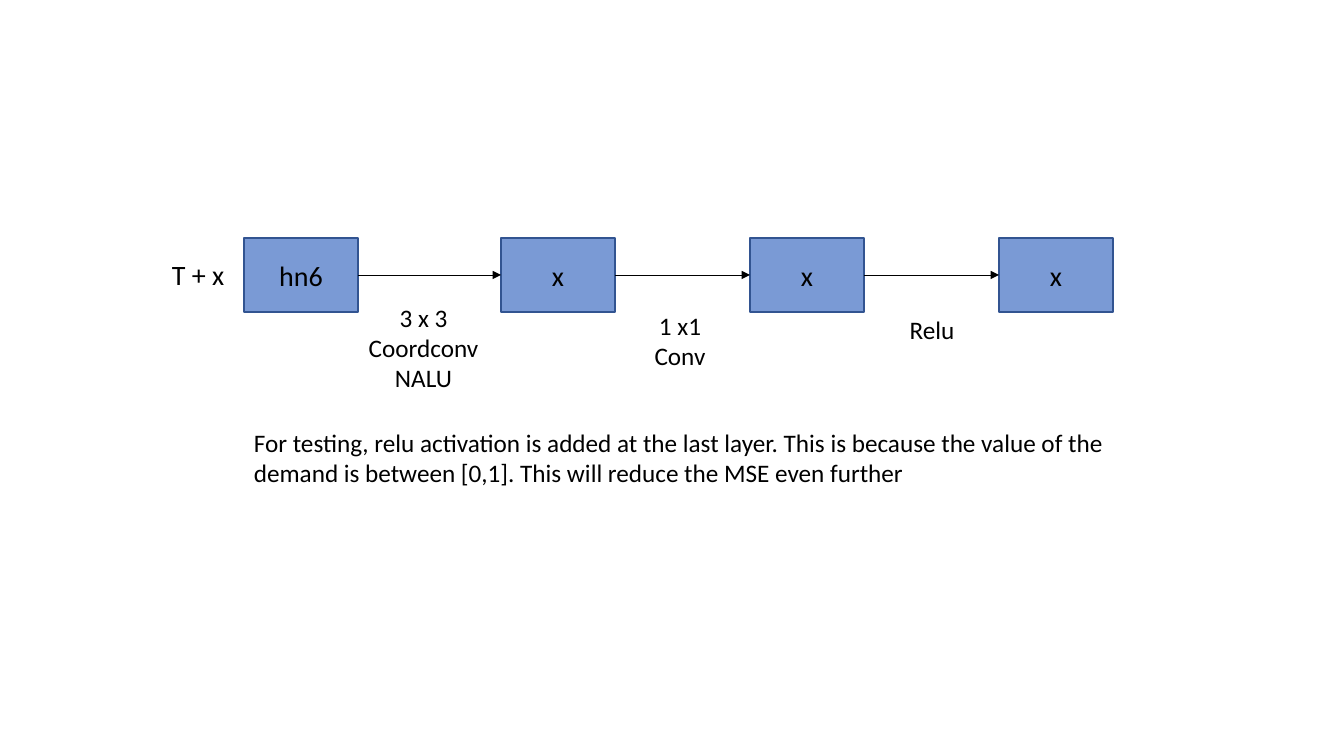
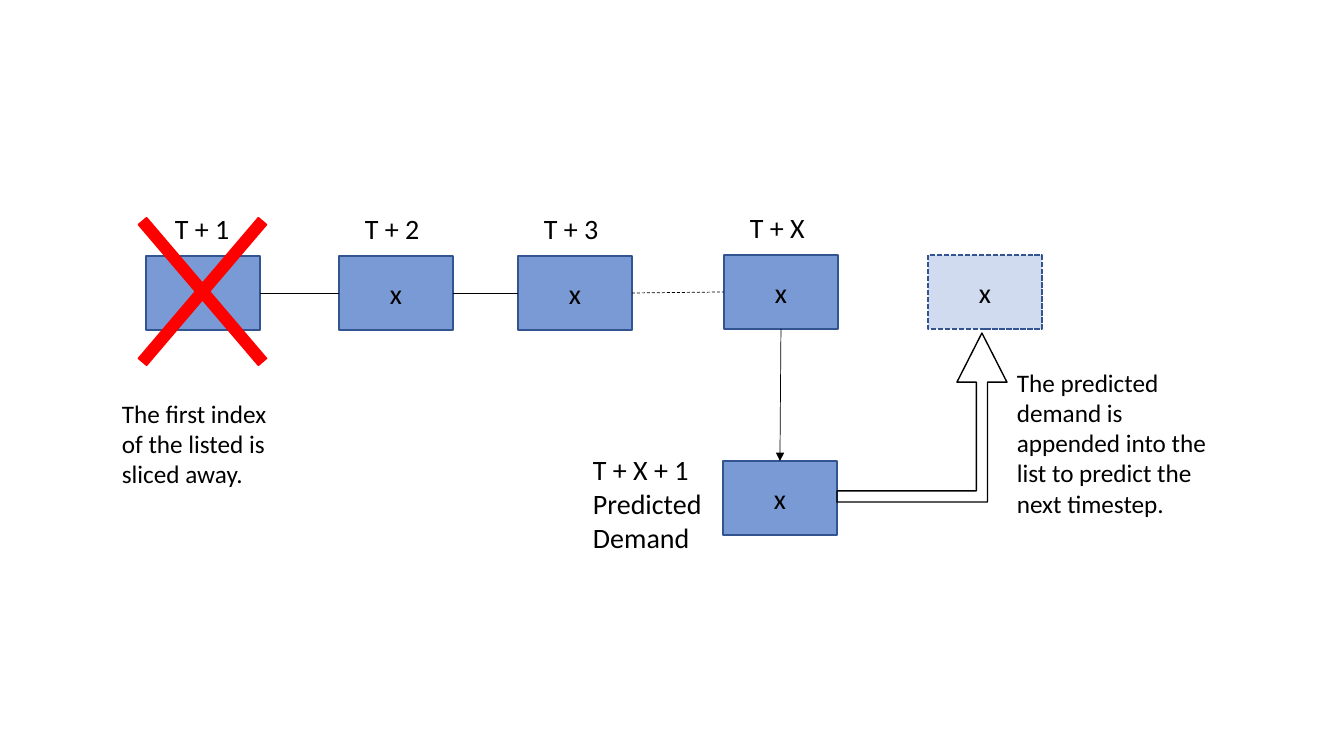
from lxml import etree
from pptx import Presentation
from pptx import util as u
from pptx.dml.color import RGBColor
from pptx.enum import dml, shapes, text
from pptx.oxml.ns import qn

SCALE = 914400 / 100.8
FONT = "Calibri"
COLORS = {"box": "4472C4", "edge": "325491", "ink": "000000", "cross": "FF0000"}
BOX_W, BOX_H = 114, 74
TOP, LEFT, BOTTOM, RIGHT = range(4)
LABEL, NOTE = 20, 18


def px(*values):
    """Turn pixels into EMU."""
    return [u.Emu(round(v * SCALE)) for v in values]


def color(name):
    """Look up a named colour."""
    return RGBColor.from_string(COLORS[name])


def write(frame, words, size, align):
    """Put words into a text frame and format them."""
    frame.word_wrap = True
    frame.text = words
    for para in frame.paragraphs:
        para.alignment = align
        for run in para.runs:
            run.font.size = u.Pt(size)
            run.font.name = FONT
            run.font.color.rgb = color("ink")


def label(slide, words, area, size=LABEL, center=False):
    """Add a text box over an area of left, top, width, height."""
    frame = slide.shapes.add_textbox(*px(*area)).text_frame
    align = text.PP_ALIGN.CENTER if center else text.PP_ALIGN.LEFT
    write(frame, words, size, align)


def form(slide, kind, area, fill=None, edge="ink", width=1, adjust=()):
    """Add a preset shape; without a fill it is see-through."""
    item = slide.shapes.add_shape(kind, *px(*area))
    item.shadow.inherit = False
    for index, value in enumerate(adjust):
        item.adjustments[index] = value
    if fill:
        item.fill.solid()
        item.fill.fore_color.rgb = color(fill)
    else:
        item.fill.background()
    item.line.color.rgb = color(edge)
    item.line.width = u.Pt(width)
    return item


def box(slide, left, top, words="x", alpha=71, width=1):
    """Add a state box with a partly transparent fill."""
    item = form(slide, shapes.MSO_SHAPE.RECTANGLE,
                (left, top, BOX_W, BOX_H), "box", "edge", width)
    tint = item.fill._xPr.find(qn("a:solidFill"))[0]
    etree.SubElement(tint, qn("a:alpha"), val=str(alpha * 1000))
    item.text_frame.vertical_anchor = text.MSO_ANCHOR.MIDDLE
    write(item.text_frame, words, LABEL, text.PP_ALIGN.CENTER)
    return item


def link(slide, first, last, sites=(RIGHT, LEFT), arrow=False, dash=False):
    """Join two boxes with a thin line."""
    line = slide.shapes.add_connector(shapes.MSO_CONNECTOR.STRAIGHT, 0, 0, 0, 0)
    line.begin_connect(first, sites[0])
    line.end_connect(last, sites[1])
    line.line.color.rgb = color("ink")
    line.line.width = u.Pt(0.5)
    if dash:
        line.line.dash_style = dml.MSO_LINE.DASH
    if arrow:
        etree.SubElement(line.line._get_or_add_ln(), qn("a:tailEnd"), type="triangle")
    etree.SubElement(line._element.spPr, qn("a:effectLst"))


def layers(slide):
    """Draw the last layers of the network."""
    row = [box(slide, left, 238, words) for left, words in
           ((244, "hn6"), (501, "x"), (750, "x"), (999, "x"))]
    for first, last in zip(row, row[1:]):
        link(slide, first, last, arrow=True)
    label(slide, "T + x", (162, 253, 81, 44))
    for words, area in (("3 x 3\nCoordconv NALU", (353, 297, 141, 102)),
                        ("1 x1 Conv", (623, 305, 114, 72)),
                        ("Relu", (875, 309, 114, 40))):
        label(slide, words, area, NOTE, center=True)
    label(slide, "For testing, relu activation is added at the last layer. "
          "This is because the value of the demand is between [0,1]. "
          "This will reduce the MSE even further", (244, 422, 933, 72), NOTE)


def window(slide):
    """Draw the sliding list of time steps."""
    row = []
    for step, left, top, shift in (("1", 146, 256, 19), ("2", 339, 256, 16),
                                   ("3", 518, 256, 16), ("X", 724, 255, 16)):
        row.append(box(slide, left, top))
        label(slide, f"T + {step}", (left + shift, top - 49, 81, 44))
    for first, last in zip(row, row[1:]):
        link(slide, first, last, dash=last is row[-1])

    demand = box(slide, 723, 461)
    link(slide, row[-1], demand, (BOTTOM, TOP), arrow=True)
    label(slide, "T + X + 1\vPredicted Demand", (583, 448, 143, 112))

    form(slide, shapes.MSO_SHAPE.BENT_UP_ARROW, (837, 333, 170, 169),
         adjust=(0.066, 0.148, 0.291))
    added = box(slide, 928, 255, alpha=25, width=1.25)
    added.line.dash_style = dml.MSO_LINE.SQUARE_DOT
    label(slide, "The predicted demand is appended into the list to predict "
          "the next timestep.", (1007, 362, 220, 163), NOTE)

    form(slide, shapes.MSO_SHAPE.MATH_MULTIPLY, (87, 156, 231, 271),
         "cross", "cross", adjust=(0.047,))
    label(slide, "The first index of the listed is sliced away.",
          (112, 393, 187, 102), NOTE)


def main():
    """Build and save the slides."""
    deck = Presentation()
    deck.slide_width, deck.slide_height = px(1344, 756)
    for draw in (layers, window):
        draw(deck.slides.add_slide(deck.slide_layouts[6]))
    deck.save("out.pptx")


main()
